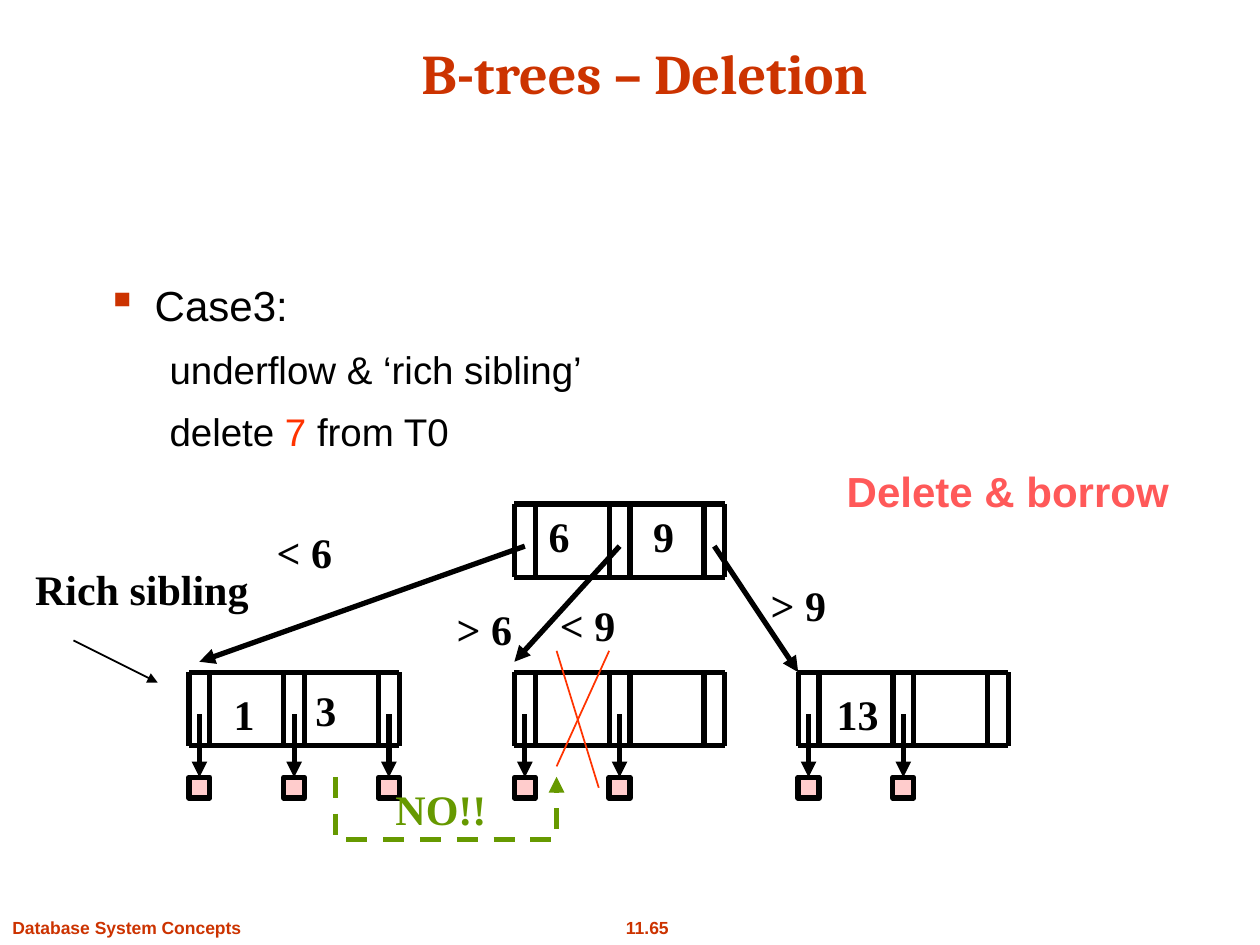
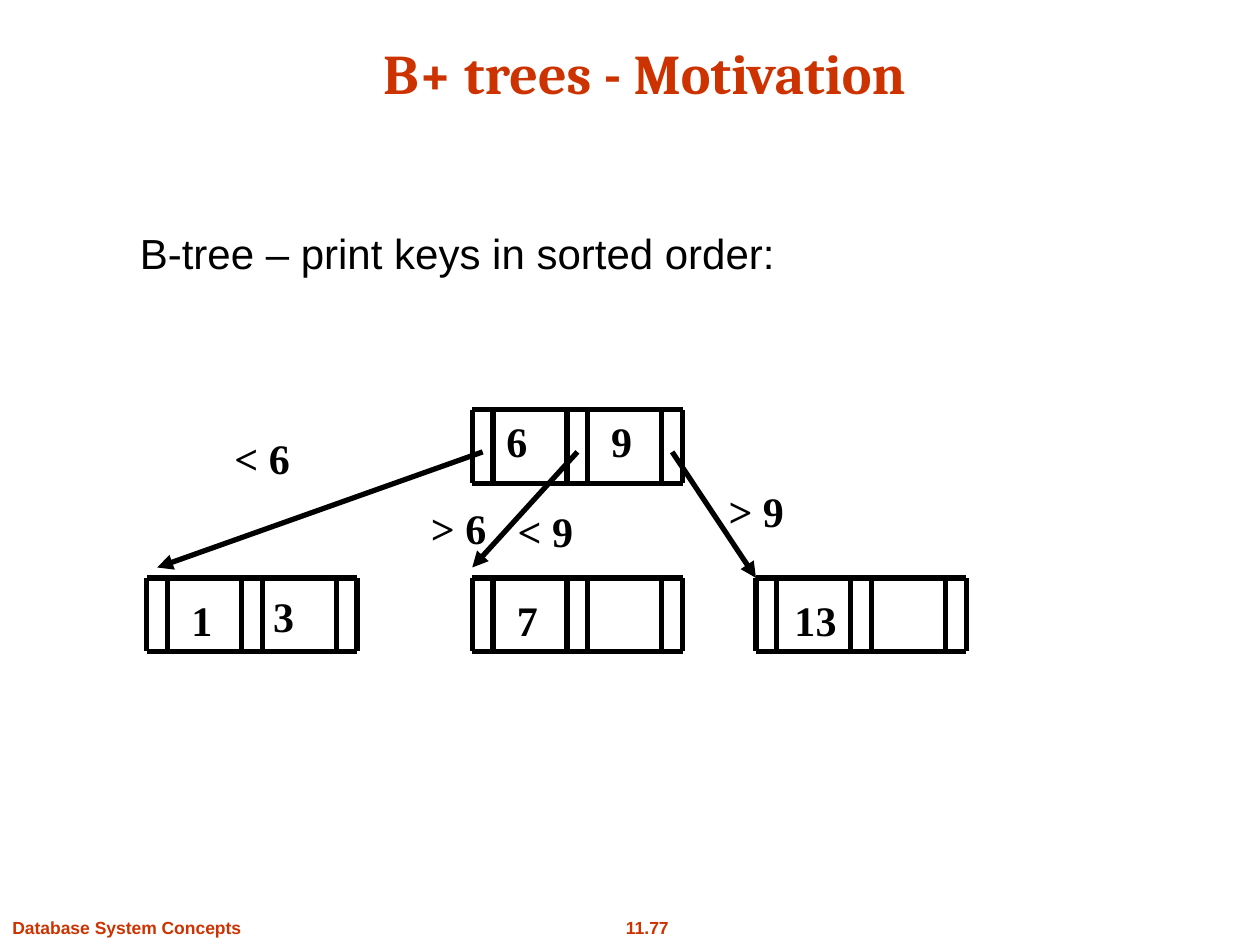
"""Build two slides on B-trees: borrowing on deletion, and printing keys in order."""
from lxml import etree
from pptx import Presentation, util as u
from pptx.dml.color import RGBColor
from pptx.enum import dml, shapes, text
from pptx.oxml.ns import qn

RUST, BLACK, RED, GREEN = "CC3300", "000000", "FF3300", "669900"
PINK, CORAL = "FFCCCC", "FF5959"
SANS, SERIF, HEAD = "Arial", "Times New Roman", "Cambria"
MID = text.PP_ALIGN.CENTER

NODE_H, SLOT, PITCH = 1.48, 0.42, 1.91
ROOT_X, LEAF_Y, PTR_Y, DATA_Y = 6.56, 3.39, 0.85, 5.51
LEAVES = [0, 6.56, 12.28]
TIPS = [(0.21, 3.18), (6.56, 3.18), (12.28, 3.39)]
KEYS = [("6", 6.99, 0), ("9", 9.1, 0), ("1", 0.64, 3.6),
        ("3", 2.29, 3.51), ("13", 12.8, 3.6)]
RANGES = [("< 6", 1.5, 0.33), ("< 9", 7.21, 1.8), ("> 9", 11.46, 1.4)]

DELETE = {
    "title": "B-trees – Deletion", "page": "11.65", "at": (3.81, 10.16),
    "keys": [], "range": ("> 6", 5.13, 1.88), "data": [3, 2, 2],
}
SORTED = {
    "title": "B+ trees - Motivation", "page": "11.77", "at": (2.96, 8.26),
    "keys": [("7", 7.2, 3.6)], "range": ("> 6", 5.46, 1.75), "data": [],
}
CASE = [
    {"runs": [("Case3:", BLACK)], "size": 24, "left": 0.97, "bullet": "▪"},
    {"runs": [("underflow & ‘rich sibling’", BLACK)], "size": 22, "left": 1.27},
    {"runs": [("delete ", BLACK), ("7", RED), (" from T0", BLACK)],
     "size": 22, "left": 1.27},
]
CROSS = [((11.22, 15.45), (12.28, 13.12)), ((11.22, 13.12), (12.07, 15.88))]
DETOUR = [(6.77, 15.66), (6.77, 16.93), (11.22, 16.93), (11.22, 15.66)]


def rgb(code):
    return RGBColor.from_string(code)


def box(slide, x, y, w, h, wrap=False):
    frame = slide.shapes.add_textbox(*map(u.Cm, (x, y, w, h))).text_frame
    frame.word_wrap = wrap
    return frame


def style(font, size, color, face, bold):
    font.size, font.name, font.bold = u.Pt(size), face, bold
    font.color.rgb = rgb(color)


def write(slide, words, x, y, w, h=1.27, size=24, color=BLACK, face=SERIF,
          bold=True, align=MID, wrap=False, low=False):
    frame = box(slide, x, y, w, h, wrap)
    if low:
        frame.vertical_anchor = text.MSO_ANCHOR.BOTTOM
    para = frame.paragraphs[0]
    para.alignment = align
    run = para.add_run()
    run.text = words
    style(run.font, size, color, face, bold)


def outline(slide, items, x, y, w, h):
    frame = box(slide, x, y, w, h, True)
    for i, item in enumerate(items):
        para = frame.add_paragraph() if i else frame.paragraphs[0]
        props = para._p.get_or_add_pPr()
        props.set("marL", str(u.Cm(item["left"])))
        if "bullet" in item:
            props.set("indent", str(-u.Cm(item["left"])))
            tint = etree.SubElement(props, qn("a:buClr"))
            etree.SubElement(tint, qn("a:srgbClr")).set("val", RUST)
            etree.SubElement(props, qn("a:buChar")).set("char", item["bullet"])
        if i:
            para.space_before = u.Pt(9)
        for words, color in item["runs"]:
            run = para.add_run()
            run.text = words
            style(run.font, item["size"], color, SANS, False)


def stroke(shape, color=BLACK, width=3, head=False, dash=False):
    shape.line.color.rgb, shape.line.width = rgb(color), u.Pt(width)
    if dash:
        shape.line.dash_style = dml.MSO_LINE.DASH
    if head:
        edge = shape._element.spPr.find(qn("a:ln"))
        etree.SubElement(edge, qn("a:tailEnd")).set("type", "triangle")


def line(slide, start, end, **look):
    link = slide.shapes.add_connector(
        shapes.MSO_CONNECTOR.STRAIGHT, *map(u.Cm, (*start, *end)))
    stroke(link, **look)
    etree.SubElement(link._element.spPr, qn("a:effectLst"))


def route(slide, points, **look):
    first, *rest = [tuple(map(u.Cm, point)) for point in points]
    pen = slide.shapes.build_freeform(*first)
    pen.add_line_segments(rest, close=False)
    shape = pen.convert_to_shape()
    shape.shadow.inherit = False
    shape.fill.background()
    stroke(shape, **look)


def node(slide, x, y):
    for i in range(3):
        for side in (x + i * PITCH, x + i * PITCH + SLOT):
            line(slide, (side, y), (side, y + NODE_H))
    for edge in (y, y + NODE_H):
        line(slide, (x, edge), (x + 2 * PITCH + SLOT, edge))


def datum(slide, x, top, y):
    mid = x + SLOT / 2
    line(slide, (mid, top), (mid, y), head=True)
    cell = slide.shapes.add_shape(
        shapes.MSO_SHAPE.RECTANGLE, *map(u.Cm, (x, y, SLOT, SLOT)))
    cell.shadow.inherit = False
    cell.fill.solid()
    cell.fill.fore_color.rgb = rgb(PINK)
    stroke(cell)


def tree(slide, page):
    x, y = page["at"]
    node(slide, x + ROOT_X, y)
    for leaf in LEAVES:
        node(slide, x + leaf, y + LEAF_Y)
    for leaf, count in zip(LEAVES, page["data"]):
        for i in range(count):
            datum(slide, x + leaf + i * PITCH, y + LEAF_Y + PTR_Y, y + DATA_Y)
    for i, (dx, dy) in enumerate(TIPS):
        start = (x + ROOT_X + i * PITCH + SLOT / 2, y + PTR_Y)
        line(slide, start, (x + dx, y + dy), head=True)
    for key, dx, dy in KEYS + page["keys"]:
        write(slide, key, x + dx, y + dy, 0.52 + 0.42 * len(key))
    for label, dx, dy in RANGES + [page["range"]]:
        write(slide, label, x + dx, y + dy, 1.65)


def start(deck, page):
    slide = deck.slides.add_slide(deck.slide_layouts[6])
    small = dict(h=0.69, size=10, color=RUST, face=SANS)
    write(slide, page["page"], 12.34, 18.36, 1.42, **small)
    write(slide, "Database System Concepts", 0, 18.36, 5.13, align=None, **small)
    write(slide, page["title"], 1.78, 0.56, 22.43, 1.7, size=32, color=RUST,
          face=HEAD, wrap=True, low=True)
    tree(slide, page)
    return slide


def main():
    deck = Presentation()
    deck.slide_width, deck.slide_height = u.Cm(25.4), u.Cm(19.05)

    slide = start(deck, DELETE)
    line(slide, (1.48, 12.91), (3.18, 13.76), width=1, head=True)
    write(slide, "Rich sibling", 0, 11.23, 5.72, wrap=True)
    for ends in CROSS:
        line(slide, *ends, color=RED, width=1)
    route(slide, DETOUR, color=GREEN, head=True, dash=True)
    write(slide, "NO!!", 7.62, 15.66, 2.54, color=GREEN, wrap=True)
    outline(slide, CASE, 1.9, 5.51, 21.8, 2.97)
    write(slide, "Delete & borrow", 16.82, 9.25, 7.87, color=CORAL,
          face=SANS, align=None, wrap=True)

    slide = start(deck, SORTED)
    write(slide, "B-tree – print keys in sorted order:", 2.57, 4.47, 21.8, 2,
          face=SANS, bold=False, align=None, wrap=True)
    deck.save("out.pptx")


if __name__ == "__main__":
    main()
